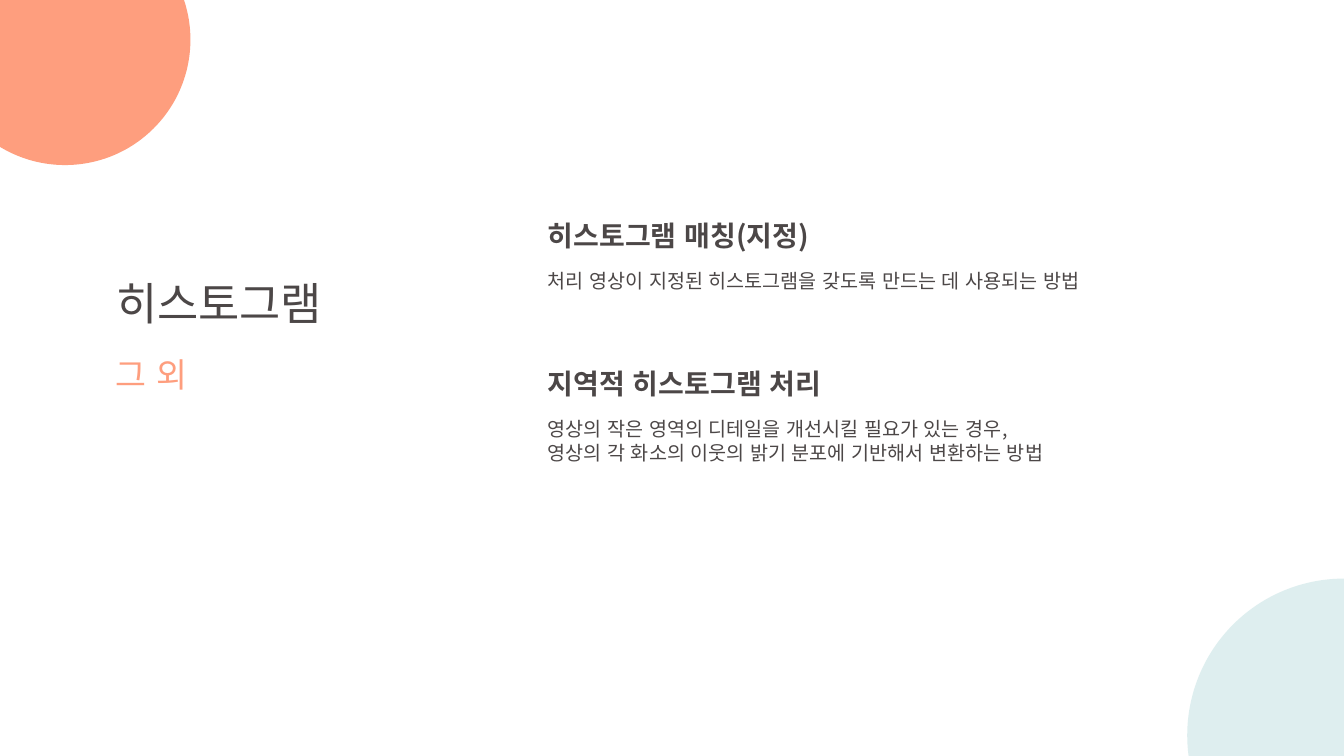
from dataclasses import dataclass

from lxml.etree import SubElement
from pptx import Presentation
from pptx.dml.color import RGBColor
from pptx.enum.lang import MSO_LANGUAGE_ID
from pptx.enum.shapes import MSO_SHAPE
from pptx.enum.text import MSO_ANCHOR, MSO_AUTO_SIZE, PP_ALIGN
from pptx.oxml import parse_xml
from pptx.oxml.ns import nsdecls, qn
from pptx.util import Cm, Pt

# Content
TITLE = "히스토그램"
SUBTITLE = "그 외"
# heading, heading width, description lines, description width and height (cm)
TOPICS = [
    ("히스토그램 매칭(지정)", 7.67,
     ["처리 영상이 지정된 히스토그램을 갖도록 만드는 데 사용되는 방법"], 15.37, 0.86),
    ("지역적 히스토그램 처리", 8.13,
     ["영상의 작은 영역의 디테일을 개선시킬 필요가 있는 경우,",
      "영상의 각 화소의 이웃의 밝기 분포에 기반해서 변환하는 방법"], 14.38, 1.45),
]


@dataclass(frozen=True)
class Theme:
    font: str = "Noto Sans CJK KR"
    ink: str = "4C4747"
    coral: str = "FE9E7E"
    mint: str = "C8E4E5"
    title: int = 32
    subtitle: int = 24
    heading: int = 20
    text: int = 14


THEME = Theme()
# left, top, diameter (cm), colour, opacity in percent
CIRCLES = [(-1.52, -2.16, 6.32, THEME.coral, 100),
           (29.92, 14.58, 7.9, THEME.mint, 60)]
TITLE_LEFT, TOPIC_LEFT = 2.67, 13.55
TOPIC_TOP, TOPIC_STEP, TEXT_OFFSET = 5.38, 3.74, 1.27


def write(sp, lines, box, size, color=THEME.ink, bold=False):
    """Place a text shape at box (cm) and fill it with formatted lines."""
    sp.left, sp.top, sp.width, sp.height = map(Cm, box)
    tf = sp.text_frame
    tf.word_wrap = False
    tf.auto_size = MSO_AUTO_SIZE.SHAPE_TO_FIT_TEXT
    tf.vertical_anchor = MSO_ANCHOR.TOP
    for i, line in enumerate(lines):
        p = tf.add_paragraph() if i else tf.paragraphs[0]
        p.alignment = PP_ALIGN.LEFT
        p.space_before = Pt(0)
        pPr = p._p.get_or_add_pPr()
        pPr.set("marL", "0")
        pPr.set("indent", "0")
        SubElement(pPr, qn("a:buNone"))
        r = p.add_run()
        r.text = line
        font = r.font
        font.name, font.size, font.bold = THEME.font, Pt(size), bold
        font.color.rgb = RGBColor.from_string(color)
        font.language_id = MSO_LANGUAGE_ID.KOREAN
        # East Asian typeface and faint text outline
        rPr = r._r.get_or_add_rPr()
        SubElement(rPr, qn("a:ea")).set("typeface", THEME.font)
        rPr.insert(0, parse_xml(
            f'<a:ln {nsdecls("a")} w="9525"><a:solidFill><a:srgbClr val="{color}">'
            '<a:alpha val="20000"/></a:srgbClr></a:solidFill></a:ln>'))


prs = Presentation()
prs.slide_width, prs.slide_height = Cm(33.87), Cm(19.05)
slide = prs.slides.add_slide(prs.slide_layouts.get_by_name("Comparison"))

# Corner circles
for left, top, size, color, opacity in CIRCLES:
    sp = slide.shapes.add_shape(MSO_SHAPE.OVAL, Cm(left), Cm(top), Cm(size), Cm(size))
    sp.shadow.inherit = False
    sp.line.fill.background()
    sp.fill.solid()
    sp.fill.fore_color.rgb = RGBColor.from_string(color)
    if opacity < 100:
        clr = sp._element.spPr.find(".//" + qn("a:srgbClr"))
        SubElement(clr, qn("a:alpha")).set("val", str(opacity * 1000))

# Title and subtitle
write(slide.shapes.title, [TITLE], (TITLE_LEFT, 6.83, 6.22, 1.63), THEME.title)
subtitle = slide.shapes.add_textbox(0, 0, 0, 0)
write(subtitle, [SUBTITLE], (TITLE_LEFT, 8.79, 2.51, 1.27), THEME.subtitle, color=THEME.coral)

# Topics: each takes a heading and a body placeholder
bodies = list(slide.placeholders)[1:]
for i, (heading, heading_w, lines, text_w, text_h) in enumerate(TOPICS):
    top = TOPIC_TOP + i * TOPIC_STEP
    write(bodies[2 * i], [heading], (TOPIC_LEFT, top, heading_w, 1.12),
          THEME.heading, bold=True)
    write(bodies[2 * i + 1], lines, (TOPIC_LEFT, top + TEXT_OFFSET, text_w, text_h),
          THEME.text)

prs.save("out.pptx")
